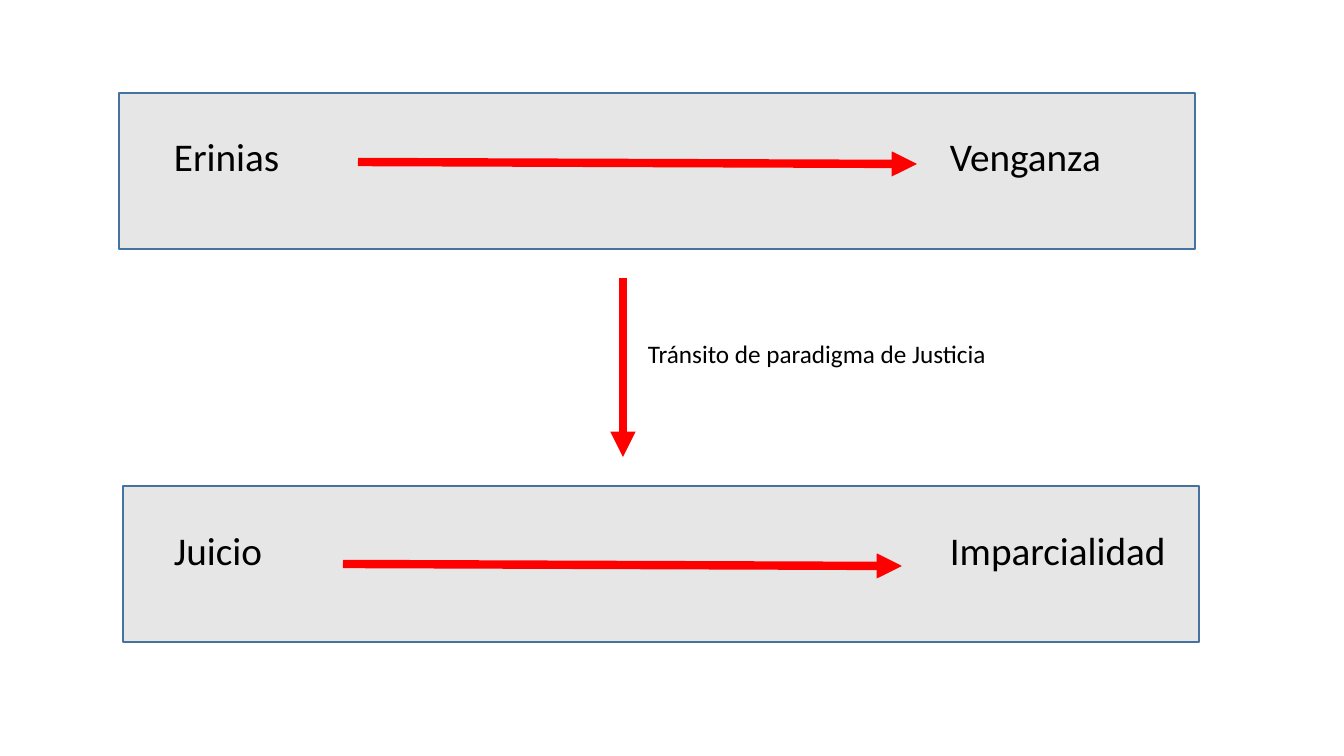
import pptx
import pptx.util
import pptx.dml.color
import pptx.enum.shapes
import pptx.oxml.ns
from lxml import etree

SLIDE_W, SLIDE_H = 1344, 756
SCALE = 12192000 / SLIDE_W  # EMU per px

BLACK = pptx.dml.color.RGBColor(0x00, 0x00, 0x00)
RED = pptx.dml.color.RGBColor(0xFF, 0x00, 0x00)
GREY = pptx.dml.color.RGBColor(0xE7, 0xE6, 0xE6)
BLUE = pptx.dml.color.RGBColor(0x43, 0x73, 0x9E)


def px(n):
    return pptx.util.Emu(round(n * SCALE))


def add_panel(s, x, y, w, h):
    sp = s.shapes.add_shape(pptx.enum.shapes.MSO_SHAPE.RECTANGLE,
                            px(x), px(y), px(w), px(h))
    sp.shadow.inherit = False
    sp.fill.solid()
    sp.fill.fore_color.rgb = GREY
    sp.line.color.rgb = BLUE
    sp.line.width = pptx.util.Pt(1)


def add_arrow(s, x1, y1, x2, y2):
    c = s.shapes.add_connector(pptx.enum.shapes.MSO_CONNECTOR.STRAIGHT,
                               px(x1), px(y1), px(x2), px(y2))
    c.line.color.rgb = RED
    c.line.width = pptx.util.Pt(6)
    qn = pptx.oxml.ns.qn
    etree.SubElement(c.line._get_or_add_ln(), qn("a:tailEnd"), type="triangle")
    etree.SubElement(c._element.spPr, qn("a:effectLst"))


def add_text(s, text, x, y, w, h, size=28, spacing=0.9):
    tf = s.shapes.add_textbox(px(x), px(y), px(w), px(h)).text_frame
    tf.word_wrap = True
    p = tf.paragraphs[0]
    p.line_spacing = spacing
    r = p.add_run()
    r.text = text
    r.font.name = "Calibri"
    r.font.size = pptx.util.Pt(size)
    r.font.color.rgb = BLACK


def main():
    prs = pptx.Presentation()
    prs.slide_width, prs.slide_height = px(SLIDE_W), px(SLIDE_H)
    s = prs.slides.add_slide(prs.slide_layouts[6])

    # Each panel: figure, outcome, panel position, arrow start, text top
    rows = [
        ("Erinias", "Venganza", 119, 93, 358, 162, 133),
        ("Juicio", "Imparcialidad", 123, 486, 343, 564, 527),
    ]
    for figure, outcome, x, y, arrow_x, arrow_y, text_y in rows:
        add_panel(s, x, y, 1076, 156)
        add_text(s, figure, 164, text_y, 216, 54)
        add_text(s, outcome, 940, text_y, 279, 54)
        add_arrow(s, arrow_x, arrow_y, arrow_x + 559, arrow_y + 2)

    # Transition between the panels
    add_arrow(s, 623, 278, 623, 457)
    add_text(s, "Tránsito de paradigma de Justicia", 638, 333, 601, 40,
             size=18, spacing=1.0)

    prs.save("out.pptx")


if __name__ == "__main__":
    main()
